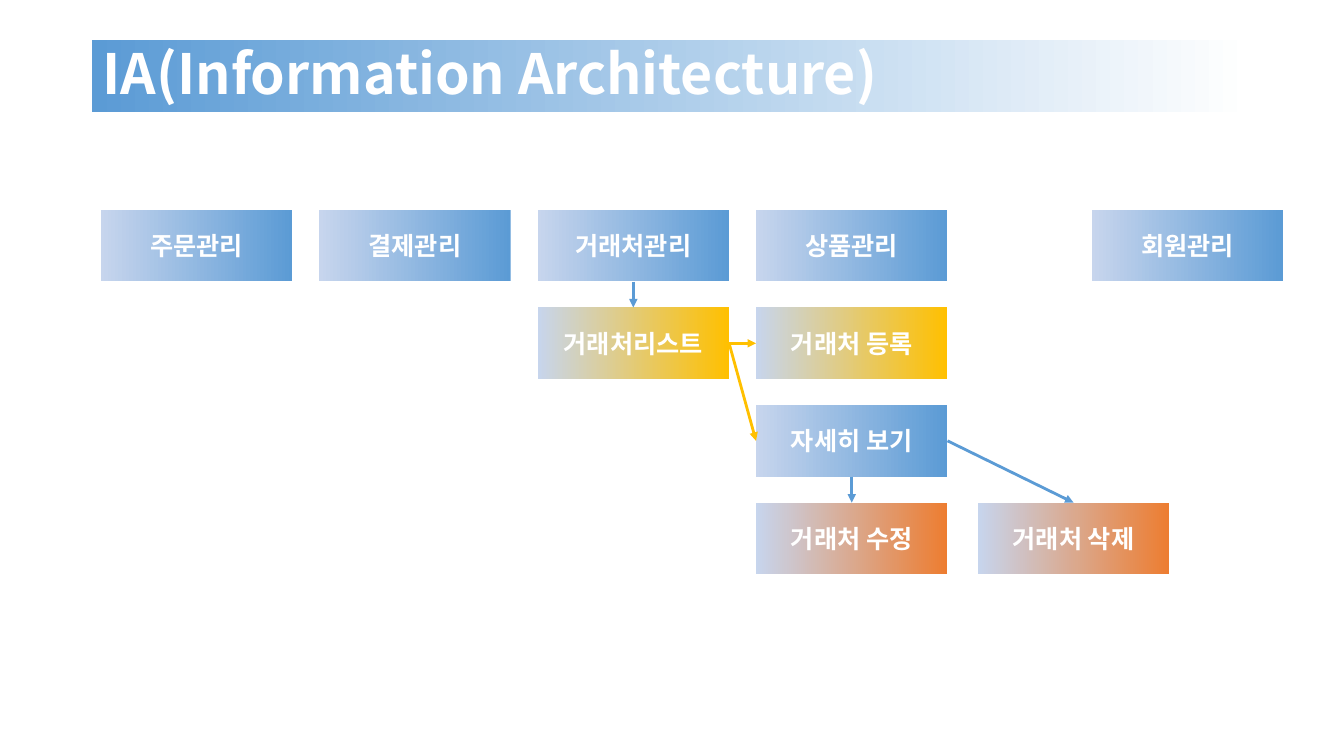
"""Build the information architecture slide as a grid of linked boxes."""
from dataclasses import dataclass

from lxml import etree
from pptx import Presentation
from pptx.dml.color import RGBColor
from pptx.enum.dml import MSO_LINE
from pptx.enum.shapes import MSO_CONNECTOR, MSO_SHAPE
from pptx.enum.text import MSO_ANCHOR, MSO_AUTO_SIZE, PP_ALIGN
from pptx.oxml.ns import qn
from pptx.shapes.autoshape import Shape
from pptx.slide import Slide
from pptx.text.text import TextFrame
from pptx.util import Pt

RECTANGLE = MSO_SHAPE.RECTANGLE
STRAIGHT = MSO_CONNECTOR.STRAIGHT
SOLID = MSO_LINE.SOLID
MIDDLE = MSO_ANCHOR.MIDDLE
NO_AUTOFIT = MSO_AUTO_SIZE.NONE
LEFT, CENTER = PP_ALIGN.LEFT, PP_ALIGN.CENTER
TOP_SITE, LEFT_SITE, BOTTOM_SITE, RIGHT_SITE = range(4)
TITLE_ONLY = 5


@dataclass(frozen=True)
class Theme:
    font: str = "Noto Sans CJK KR"
    title_size: float = 39.6
    box_size: float = 18
    line_width: float = 2
    white: str = "FFFFFF"
    pale: str = "C7D5ED"
    blue: str = "5B9BD5"
    yellow: str = "FFC000"
    orange: str = "ED7D31"


@dataclass(frozen=True)
class Box:
    label: str
    left: float
    row: int
    color: str


@dataclass(frozen=True)
class Link:
    start: str
    start_site: int
    end: str
    end_site: int
    color: str


THEME = Theme()
COLUMNS = [72 + 156 * i for i in range(4)]
DELETE_LEFT, MEMBER_LEFT = 698.4, 780
ROW_TOP, ROW_STEP = 149.9, 69.7
BOX_WIDTH, BOX_HEIGHT = 136.8, 51.2

BOXES = [
    Box("주문관리", COLUMNS[0], 0, THEME.blue),
    Box("결제관리", COLUMNS[1], 0, THEME.blue),
    Box("거래처관리", COLUMNS[2], 0, THEME.blue),
    Box("상품관리", COLUMNS[3], 0, THEME.blue),
    Box("회원관리", MEMBER_LEFT, 0, THEME.blue),
    Box("거래처리스트", COLUMNS[2], 1, THEME.yellow),
    Box("거래처 등록", COLUMNS[3], 1, THEME.yellow),
    Box("자세히 보기", COLUMNS[3], 2, THEME.blue),
    Box("거래처 수정", COLUMNS[3], 3, THEME.orange),
    Box("거래처 삭제", DELETE_LEFT, 3, THEME.orange),
]
LINKS = [
    Link("거래처관리", BOTTOM_SITE, "거래처리스트", TOP_SITE, THEME.blue),
    Link("거래처리스트", RIGHT_SITE, "거래처 등록", LEFT_SITE, THEME.yellow),
    Link("거래처리스트", RIGHT_SITE, "자세히 보기", LEFT_SITE, THEME.yellow),
    Link("자세히 보기", BOTTOM_SITE, "거래처 수정", TOP_SITE, THEME.blue),
    Link("자세히 보기", RIGHT_SITE, "거래처 삭제", TOP_SITE, THEME.blue),
]


def fill_gradient(s: Shape, right: str, left: str) -> None:
    """Fill a shape with a horizontal gradient."""
    s.fill.gradient()
    s.fill.gradient_angle = 180
    for stop, position, color in zip(s.fill.gradient_stops, (0, 1), (right, left)):
        stop.position = position
        stop.color.rgb = RGBColor.from_string(color)


def set_text(tf: TextFrame, text: str, size: float, align: PP_ALIGN) -> None:
    """Write one bold white line, vertically centred."""
    tf.text = text
    tf.word_wrap = True
    tf.auto_size = NO_AUTOFIT
    tf.vertical_anchor = MIDDLE
    p = tf.paragraphs[0]
    p.alignment = align
    r = p.runs[0]
    r.font.size = Pt(size)
    r.font.bold = True
    r.font.color.rgb = RGBColor.from_string(THEME.white)
    r.font.name = THEME.font
    ea = etree.SubElement(r._r.get_or_add_rPr(), qn("a:ea"))
    ea.set("typeface", THEME.font)


def add_title(slide: Slide) -> None:
    """Place and format the title bar."""
    s = slide.shapes.title
    s.left, s.top, s.width, s.height = Pt(66), Pt(28.8), Pt(828), Pt(51.2)
    fill_gradient(s, THEME.white, THEME.blue)
    set_text(s.text_frame, "IA(Information Architecture)", THEME.title_size, LEFT)
    s.text_frame.paragraphs[0].line_spacing = 0.9


def add_box(slide: Slide, box: Box) -> Shape:
    """Draw one labelled box on its grid row."""
    top = ROW_TOP + ROW_STEP * box.row
    s = slide.shapes.add_shape(
        RECTANGLE, Pt(box.left), Pt(top), Pt(BOX_WIDTH), Pt(BOX_HEIGHT)
    )
    s.shadow.inherit = False
    s.line.fill.background()
    fill_gradient(s, box.color, THEME.pale)
    set_text(s.text_frame, box.label, THEME.box_size, CENTER)
    return s


def add_link(slide: Slide, link: Link, shapes: dict[str, Shape]) -> None:
    """Join two boxes with an arrow."""
    s = slide.shapes.add_connector(STRAIGHT, 0, 0, 0, 0)
    s.begin_connect(shapes[link.start], link.start_site)
    s.end_connect(shapes[link.end], link.end_site)
    s.line.width = Pt(THEME.line_width)
    s.line.color.rgb = RGBColor.from_string(link.color)
    s.line.dash_style = SOLID
    tail = etree.SubElement(s.line._get_or_add_ln(), qn("a:tailEnd"))
    tail.set("type", "triangle")
    etree.SubElement(s._element.spPr, qn("a:effectLst"))


def main() -> None:
    """Create and save the slide."""
    prs = Presentation()
    prs.slide_width, prs.slide_height = Pt(960), Pt(540)
    slide = prs.slides.add_slide(prs.slide_layouts[TITLE_ONLY])
    add_title(slide)
    shapes = {box.label: add_box(slide, box) for box in BOXES}
    for link in LINKS:
        add_link(slide, link, shapes)
    prs.save("out.pptx")


if __name__ == "__main__":
    main()
